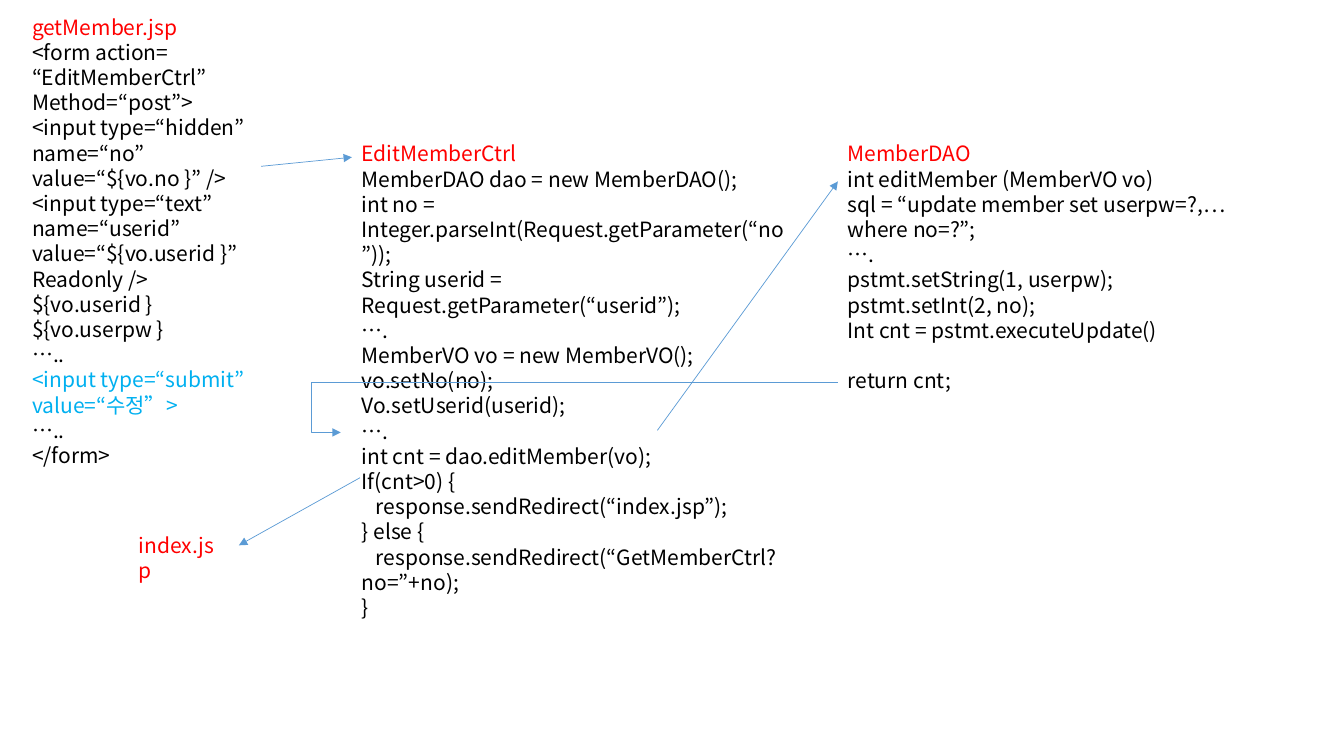
"""Build the slide that traces the member edit flow from page to DAO."""
from lxml import etree
from pptx import Presentation
from pptx.dml.color import RGBColor
from pptx.enum.shapes import MSO_CONNECTOR
from pptx.enum.text import MSO_AUTO_SIZE
from pptx.oxml.ns import qn
from pptx.util import Inches, Pt

STRAIGHT, ELBOW = MSO_CONNECTOR.STRAIGHT, MSO_CONNECTOR.ELBOW
GROW = MSO_AUTO_SIZE.SHAPE_TO_FIT_TEXT
RED = RGBColor(0xFF, 0x00, 0x00)
BLACK = RGBColor(0x00, 0x00, 0x00)
SKY = RGBColor(0x00, 0xB0, 0xF0)
BLUE = RGBColor(0x5B, 0x9B, 0xD5)
FONT = "Noto Sans CJK KR"
SIZE, PITCH = Pt(15), Pt(18)

CTRL = [
    "EditMemberCtrl",
    "MemberDAO dao = new MemberDAO();",
    "int no =",
    "Integer.parseInt(Request.getParameter(“no”));",
    "String userid =",
    "Request.getParameter(“userid”);",
    "….",
    "MemberVO vo = new MemberVO();",
    "vo.setNo(no);",
    "Vo.setUserid(userid);",
    "….",
    "int cnt = dao.editMember(vo);",
    "If(cnt>0) {",
    "response.sendRedirect(“index.jsp”);",
    "} else {",
    "response.sendRedirect(“GetMemberCtrl?no=”+no);",
    "}",
]
DAO = [
    "MemberDAO",
    "int editMember (MemberVO vo)",
    "sql = “update member set userpw=?,… where no=?”;",
    "….",
    "pstmt.setString(1, userpw);",
    "pstmt.setInt(2, no);",
    "Int cnt = pstmt.executeUpdate()",
    "return cnt;",
]
FORM = [
    "getMember.jsp",
    "<form action=",
    "“EditMemberCtrl”",
    "Method=“post”>",
    "<input type=“hidden”",
    "name=“no”",
    "value=“${vo.no }” />",
    "<input type=“text”",
    "name=“userid”",
    "value=“${vo.userid }”",
    "Readonly />",
    "${vo.userid }",
    "${vo.userpw }",
    "…..",
    "<input type=“submit”",
    "value=“수정”>",
    "…..",
    "</form>",
]
BLOCKS = [
    (CTRL, 3.49, 1.35, 4.4, 4.9),
    (DAO, 8.31, 1.35, 4.4, 2.63),
    (["index.jsp"], 1.28, 5.23, 1.03, 0.35),
    (FORM, 0.22, 0.09, 2.37, 4.64),
]
SUBMIT = ("<input type=“submit”", "value=“수정”>")
ARROWS = [
    (STRAIGHT, 2.59, 1.65, 3.49, 1.56),
    (STRAIGHT, 6.52, 4.27, 8.31, 1.8),
    (ELBOW, 8.31, 3.79, 3.38, 4.29),
    (STRAIGHT, 3.57, 4.74, 2.37, 5.41),
]
BEND = 105900


def add_code(slide, lines, *place):
    box = slide.shapes.add_textbox(*map(Inches, place))
    frame = box.text_frame
    frame.text = "\n".join(lines)
    frame.word_wrap = True
    frame.auto_size = GROW
    for i, para in enumerate(frame.paragraphs):
        para.line_spacing = PITCH
        if para.text.startswith("response."):
            para._p.get_or_add_pPr().set("indent", str(Inches(0.14)))
        if para.text.startswith("return"):
            para.space_before = PITCH
        hue = RED if i == 0 else SKY if para.text in SUBMIT else BLACK
        for run in para.runs:
            run.font.size = SIZE
            run.font.name = FONT
            run.font.color.rgb = hue
            east = etree.SubElement(run.font._element, qn("a:ea"))
            east.set("typeface", FONT)


def add_arrow(slide, kind, *ends):
    link = slide.shapes.add_connector(kind, *map(Inches, ends))
    link.line.color.rgb = BLUE
    link.line.width = Pt(0.5)
    props = link._element.spPr
    tip = etree.SubElement(props.find(qn("a:ln")), qn("a:tailEnd"))
    tip.set("type", "triangle")
    etree.SubElement(props, qn("a:effectLst"))
    if kind == ELBOW:
        guide = etree.SubElement(next(props.iter(qn("a:avLst"))), qn("a:gd"))
        guide.set("name", "adj1")
        guide.set("fmla", f"val {BEND}")


deck = Presentation()
deck.slide_width, deck.slide_height = Inches(13.33), Inches(7.5)
slide = deck.slides.add_slide(deck.slide_layouts[6])
for block in BLOCKS[:3]:
    add_code(slide, *block)
for arrow in ARROWS:
    add_arrow(slide, *arrow)
add_code(slide, *BLOCKS[3])
deck.save("out.pptx")
